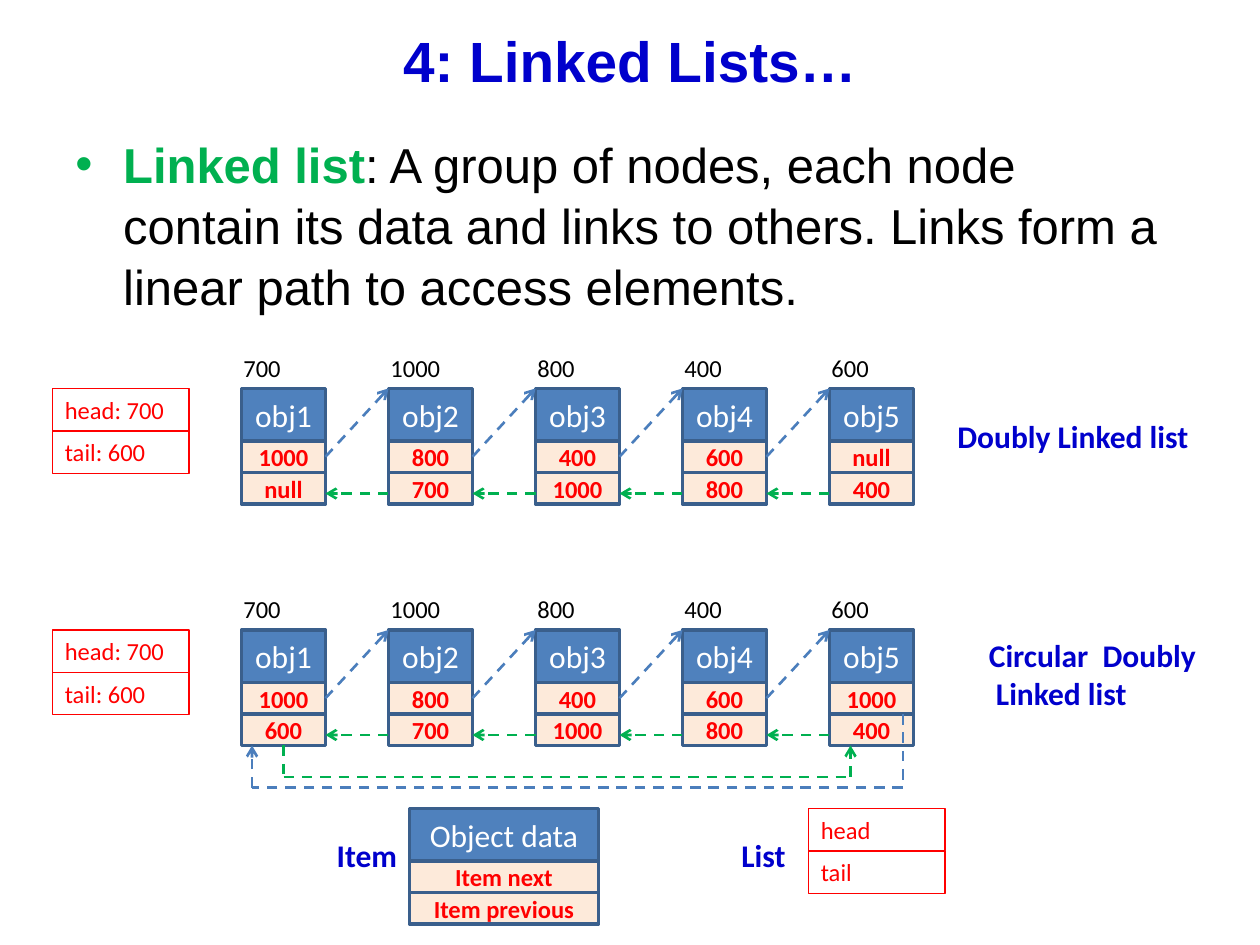
from dataclasses import dataclass

from lxml import etree
from pptx import Presentation
from pptx.dml.color import RGBColor
from pptx.enum.dml import MSO_LINE
from pptx.enum.shapes import MSO_CONNECTOR, MSO_SHAPE
from pptx.enum.text import MSO_ANCHOR, MSO_AUTO_SIZE, PP_ALIGN
from pptx.oxml.ns import qn
from pptx.util import Inches, Pt

RECT, STRAIGHT, DASH = MSO_SHAPE.RECTANGLE, MSO_CONNECTOR.STRAIGHT, MSO_LINE.DASH
TOP, MIDDLE = MSO_ANCHOR.TOP, MSO_ANCHOR.MIDDLE
LEFT, CENTER, RIGHT = PP_ALIGN.LEFT, PP_ALIGN.CENTER, PP_ALIGN.RIGHT
GROW = MSO_AUTO_SIZE.SHAPE_TO_FIT_TEXT

BLACK, WHITE, RED, NAVY = "000000", "FFFFFF", "FF0000", "0000CC"
GREEN, BLUE, HEADER, CELL, EDGE = "00B050", "4B7EBC", "4F81BD", "FDEADA", "3A5F8C"

# Grid: 120 columns by 90 rows
COLS, ROWS = 120, 90
NODE_X, NODE_W, PITCH = 23, 8, 14
HEAD_H, LINK_H, FIELD_H, FIELD_W = 5, 3, 4.04, 13


@dataclass
class Node:
    address: str
    data: str
    next: str
    previous: str


@dataclass
class LinkedList:
    row: float
    nodes: list[Node]


@dataclass
class Label:
    col: float
    row: float
    width: float
    height: float
    lines: list[str]
    align: PP_ALIGN = LEFT


def make_nodes(first_previous: str, last_next: str) -> list[Node]:
    addresses = ["700", "1000", "800", "400", "600"]
    nexts = addresses[1:] + [last_next]
    previous = [first_previous] + addresses[:-1]
    return [Node(a, f"obj{i}", n, p)
            for i, (a, n, p) in enumerate(zip(addresses, nexts, previous), 1)]


LISTS = [LinkedList(37, make_nodes("null", "null")),
         LinkedList(60, make_nodes("600", "1000"))]
LABELS = [
    Label(90, 39.1, 27, 4.8, ["Doubly Linked list"]),
    Label(93, 60, 24, 8.5, ["Circular  Doubly", " Linked list"]),
    Label(28, 79, 11, 4.8, ["Item"], RIGHT),
    Label(65, 79, 11, 4.8, ["List"], RIGHT),
]

prs = Presentation()
prs.slide_width, prs.slide_height = Inches(10), Inches(7.5)
slide = prs.slides.add_slide(prs.slide_layouts[6])


def rgb(value: str) -> RGBColor:
    return RGBColor.from_string(value)


def x(col: float) -> int:
    return round(prs.slide_width * col / COLS)


def y(row: float) -> int:
    return round(prs.slide_height * row / ROWS)


def add_run(p, text: str, size: float, color: str, bold: bool = False, font: str = "Calibri"):
    r = p.add_run()
    r.text = text
    r.font.name, r.font.size, r.font.bold = font, Pt(size), bold
    r.font.color.rgb = rgb(color)


def add_text(col: float, row: float, w: float, h: float, lines: list[str], size: float,
             color: str, bold: bool = False, align: PP_ALIGN = LEFT):
    sp = slide.shapes.add_textbox(x(col), y(row), x(w), y(h))
    tf = sp.text_frame
    tf.word_wrap, tf.auto_size = True, GROW
    for i, line in enumerate(lines):
        p = tf.add_paragraph() if i else tf.paragraphs[0]
        p.alignment = align
        add_run(p, line, size, color, bold)


def add_box(col: float, row: float, w: float, h: float, fill: str | None,
            edge: str, weight: float):
    sp = slide.shapes.add_shape(RECT, x(col), y(row), x(w), y(h))
    sp.shadow.inherit = False
    if fill:
        sp.fill.solid()
        sp.fill.fore_color.rgb = rgb(fill)
    else:
        sp.fill.background()
    sp.line.color.rgb, sp.line.width = rgb(edge), Pt(weight)
    sp.text_frame.word_wrap = True
    return sp.text_frame


def add_record(col: float, row: float, w: float, data: str, links: list[str]):
    tf = add_box(col, row, w, HEAD_H, HEADER, EDGE, 2)
    tf.vertical_anchor, tf.paragraphs[0].alignment = MIDDLE, CENTER
    add_run(tf.paragraphs[0], data, 18, WHITE)
    for i, link in enumerate(links):
        tf = add_box(col, row + HEAD_H + i * LINK_H, w, LINK_H, CELL, EDGE, 2)
        tf.vertical_anchor, tf.paragraphs[0].alignment = MIDDLE, CENTER
        add_run(tf.paragraphs[0], link, 14, RED, True)


def add_fields(col: float, row: float, fields: list[str]):
    for i, field in enumerate(fields):
        tf = add_box(col, row + i * FIELD_H, FIELD_W, FIELD_H, None, RED, 0.75)
        tf.vertical_anchor, tf.paragraphs[0].alignment = TOP, LEFT
        add_run(tf.paragraphs[0], field, 14, RED)


def add_link(points: list[tuple[float, float]], color: str):
    """Dashed route through the points, with an arrowhead at its end."""
    for i, (a, b) in enumerate(zip(points, points[1:]), 2):
        c = slide.shapes.add_connector(STRAIGHT, x(a[0]), y(a[1]), x(b[0]), y(b[1]))
        c.line.color.rgb, c.line.width, c.line.dash_style = rgb(color), Pt(1.5), DASH
        if i == len(points):
            etree.SubElement(c.line._get_or_add_ln(), qn("a:tailEnd"), type="arrow")
        etree.SubElement(c._element.spPr, qn("a:effectLst"))


# Title
sp = slide.shapes.add_textbox(x(6), y(2), x(108), y(7.5))
tf = sp.text_frame
tf.word_wrap, tf.vertical_anchor = True, MIDDLE
tf.paragraphs[0].alignment = CENTER
add_run(tf.paragraphs[0], "4: Linked Lists…", 32.4, NAVY, True, "Arial")

# Definition
sp = slide.shapes.add_textbox(x(6), y(12), x(108), y(18))
tf = sp.text_frame
tf.word_wrap = True
p = tf.paragraphs[0]
p.line_spacing = 1.04
pPr = p._p.get_or_add_pPr()
pPr.set("marL", str(Inches(0.38)))
pPr.set("indent", str(-Inches(0.38)))
etree.SubElement(pPr, qn("a:buFont"), typeface="Arial")
etree.SubElement(pPr, qn("a:buChar"), char="•")
add_run(p, "Linked list", 28, GREEN, True, "Arial")
add_run(p, ": A group of nodes, each node contain its data and links to others. "
           "Links form a linear path to access elements.", 28, BLACK, False, "Arial")

# Both lists with their links
for lst in LISTS:
    add_fields(5, lst.row, ["head: 700", "tail: 600"])
    for i, node in enumerate(lst.nodes):
        col = NODE_X + i * PITCH
        add_text(col - 1, lst.row - 4, 8 if i else 6, FIELD_H, [node.address], 14, BLACK)
        add_record(col, lst.row, NODE_W, node.data, [node.next, node.previous])
        if i:
            before = col - PITCH + NODE_W
            add_link([(before, lst.row + 6.5), (col, lst.row)], BLUE)
            add_link([(col, lst.row + 10), (before, lst.row + 10)], GREEN)

# Links that close the ring
add_link([(86, 68), (86, 75), (24, 75), (24, 71)], BLUE)
add_link([(27, 71), (27, 74), (81, 74), (81, 71)], GREEN)

# Legend and captions
add_record(39, 77, 18, "Object data", ["Item next", "Item previous"])
add_fields(77, 77, ["head", "tail"])
for lb in LABELS:
    add_text(lb.col, lb.row, lb.width, lb.height, lb.lines, 18, NAVY, True, lb.align)

prs.save("out.pptx")
